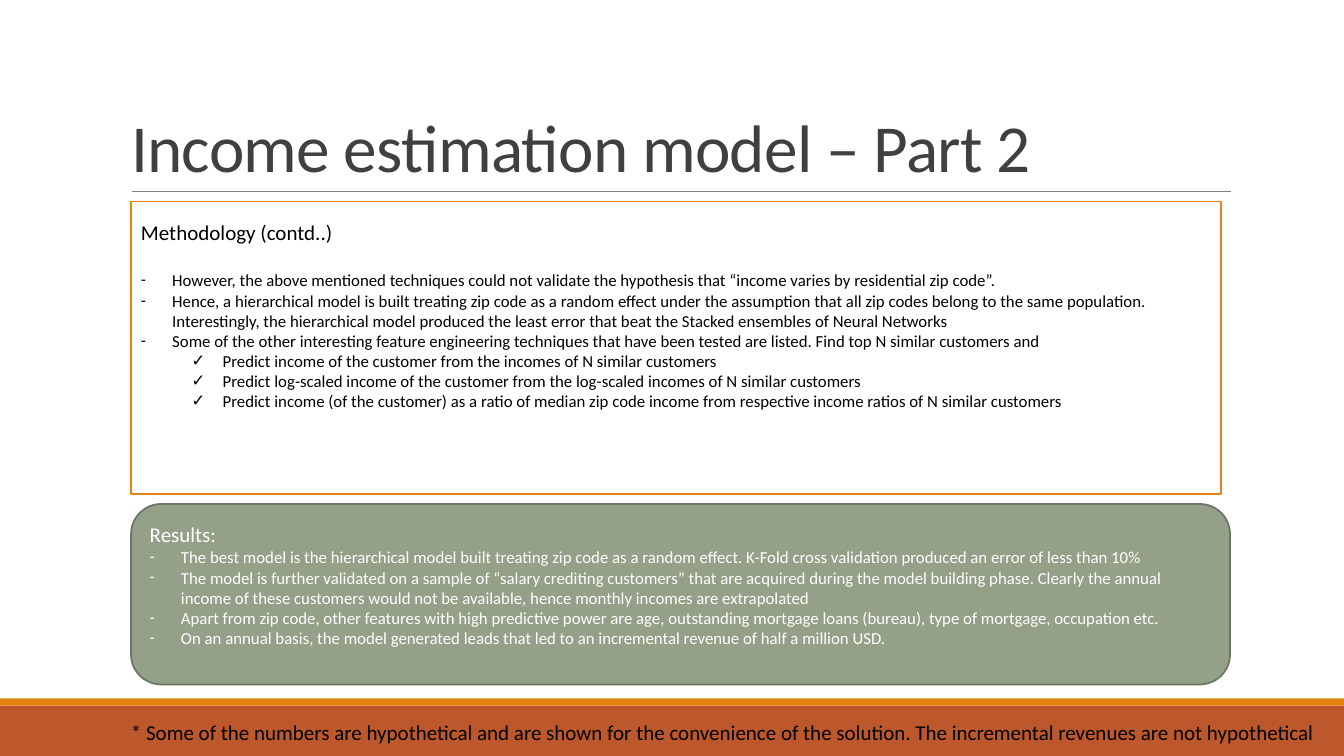
"""Build the income estimation model slide."""
import lxml.etree
import pptx
import pptx.dml.color
import pptx.enum.shapes
import pptx.enum.text
import pptx.oxml.ns
import pptx.util

Inches = pptx.util.Inches
Pt = pptx.util.Pt
RGBColor = pptx.dml.color.RGBColor
SHAPES = pptx.enum.shapes.MSO_SHAPE
ANCHOR = pptx.enum.text.MSO_ANCHOR
AUTO_SIZE = pptx.enum.text.MSO_AUTO_SIZE
qn = pptx.oxml.ns.qn

BLACK = RGBColor(0x00, 0x00, 0x00)
WHITE = RGBColor(0xFF, 0xFF, 0xFF)
CHARCOAL = RGBColor(0x40, 0x40, 0x40)
GREY = RGBColor(0x80, 0x80, 0x80)
ORANGE = RGBColor(0xE4, 0x83, 0x12)
RUST = RGBColor(0xBD, 0x58, 0x2C)
SAGE = RGBColor(0x94, 0xA0, 0x88)
DARK_SAGE = RGBColor(0x6D, 0x76, 0x65)

FONT = "Calibri"
BULLETS = ("-", "✓")
HANGING = 0.31
LEVEL_STEP = 0.5

TITLE = "Income estimation model – Part 2"
METHODOLOGY = (
    (0, "However, the above mentioned techniques could not validate the hypothesis that "
        "“income varies by residential zip code”."),
    (0, "Hence, a hierarchical model is built treating zip code as a random effect under the "
        "assumption that all zip codes belong to the same population. Interestingly, the "
        "hierarchical model produced the least error that beat the Stacked ensembles of "
        "Neural Networks"),
    (0, "Some of the other interesting feature engineering techniques that have been tested "
        "are listed. Find top N similar customers and"),
    (1, "Predict income of the customer from the incomes of N similar customers"),
    (1, "Predict log-scaled income of the customer from the log-scaled incomes of N similar "
        "customers"),
    (1, "Predict income (of the customer) as a ratio of median zip code income from "
        "respective income ratios of N similar customers"),
)
RESULTS = (
    (0, "The best model is the hierarchical model built treating zip code as a random effect. "
        "K-Fold cross validation produced an error of less than 10%"),
    (0, "The model is further validated on a sample of “salary crediting customers” that are "
        "acquired during the model building phase. Clearly the annual income of these "
        "customers would not be available, hence monthly incomes are extrapolated"),
    (0, "Apart from zip code, other features with high predictive power are age, outstanding "
        "mortgage loans (bureau), type of mortgage, occupation etc."),
    (0, "On an annual basis, the model generated leads that led to an incremental revenue of "
        "half a million USD."),
)
FOOTNOTE = ("* Some of the numbers are hypothetical and are shown for the convenience of the "
            "solution. The incremental revenues are not hypothetical")


def add_text(paragraph, text, size, color):
    """Add one formatted run to a paragraph and return it."""
    run = paragraph.add_run()
    run.text = text
    run.font.name = FONT
    run.font.size = Pt(size)
    run.font.color.rgb = color
    return run


def add_block(slide, box, kind, fill, outline=None):
    """Add a filled preset shape, outlined when a colour is given."""
    block = slide.shapes.add_shape(kind, *map(Inches, box))
    block.shadow.inherit = False
    block.fill.solid()
    block.fill.fore_color.rgb = fill
    if outline is None:
        block.line.fill.background()
    else:
        block.line.color.rgb = outline
        block.line.width = Pt(1.25)
    return block


def set_bullet(paragraph, level):
    """Give a paragraph the hanging bullet of its level."""
    paragraph.level = level
    properties = paragraph._p.get_or_add_pPr()
    properties.set("marL", str(Inches(HANGING + level * LEVEL_STEP)))
    properties.set("indent", str(-Inches(HANGING)))
    lxml.etree.SubElement(properties, qn("a:buFont")).set("typeface", FONT)
    lxml.etree.SubElement(properties, qn("a:buChar")).set("char", BULLETS[level])


def add_panel(slide, box, kind, colors, heading, points, top_inset, heading_gap):
    """Add a panel holding a heading and its bulleted points."""
    fill, outline, text_color = colors
    frame = add_block(slide, box, kind, fill, outline).text_frame
    frame.word_wrap = True
    frame.vertical_anchor = ANCHOR.TOP
    frame.margin_top = Inches(top_inset)
    heading_line = frame.paragraphs[0]
    heading_line.alignment = pptx.enum.text.PP_ALIGN.LEFT
    heading_line.space_after = Pt(heading_gap)
    add_text(heading_line, heading, 15, text_color)
    for level, point in points:
        point_line = frame.add_paragraph()
        point_line.alignment = pptx.enum.text.PP_ALIGN.LEFT
        set_bullet(point_line, level)
        add_text(point_line, point, 12, text_color)


def add_title(slide, box):
    """Place the title and the thin rule at its foot."""
    left, top, width, height = box
    bottom = Inches(top + height)
    rule = slide.shapes.add_connector(
        pptx.enum.shapes.MSO_CONNECTOR.STRAIGHT,
        Inches(left + 0.11), bottom, Inches(left + width + 0.01), bottom)
    rule.line.color.rgb = GREY
    rule.line.width = Pt(0.5)
    lxml.etree.SubElement(rule._element.spPr, qn("a:effectLst"))

    title = slide.shapes.title
    title.left, title.top, title.width, title.height = map(Inches, box)
    frame = title.text_frame
    frame.word_wrap = True
    frame.auto_size = AUTO_SIZE.NONE
    frame.vertical_anchor = ANCHOR.BOTTOM
    title_line = frame.paragraphs[0]
    title_line.alignment = pptx.enum.text.PP_ALIGN.LEFT
    title_line.line_spacing = 0.85
    run = add_text(title_line, TITLE, 48, CHARCOAL)
    run.font._element.set("spc", "-50")


def add_footer_band(slide, box):
    """Add the rust band with its orange top strip."""
    left, top, width, height = box
    strip = 0.07
    add_block(slide, (left, top + strip, width, height - strip), SHAPES.RECTANGLE, RUST)
    add_block(slide, (left, top, width, strip), SHAPES.RECTANGLE, ORANGE)


def add_footnote(slide, box):
    """Add the single-line note over the footer band."""
    frame = slide.shapes.add_textbox(*map(Inches, box)).text_frame
    frame.word_wrap = False
    frame.auto_size = AUTO_SIZE.SHAPE_TO_FIT_TEXT
    add_text(frame.paragraphs[0], FOOTNOTE, 15, BLACK)


def main():
    """Assemble and save the slide."""
    deck = pptx.Presentation()
    deck.slide_width = Inches(13.33)
    deck.slide_height = Inches(7.5)
    slide = deck.slides.add_slide(deck.slide_layouts[5])
    add_footer_band(slide, (0, 6.93, 13.33, 0.57))
    add_title(slide, (1.2, 0.31, 11, 1.59))
    add_panel(slide, (1.3, 5, 10.9, 1.79), SHAPES.ROUNDED_RECTANGLE,
              (SAGE, DARK_SAGE, WHITE), "Results:", RESULTS, 0.09, 0)
    add_panel(slide, (1.3, 2, 10.81, 2.9), SHAPES.RECTANGLE,
              (WHITE, ORANGE, BLACK), "Methodology (contd..)", METHODOLOGY, 0.18, 18)
    add_footnote(slide, (1.2, 7.09, 12.06, 0.35))
    deck.save("out.pptx")


if __name__ == "__main__":
    main()
